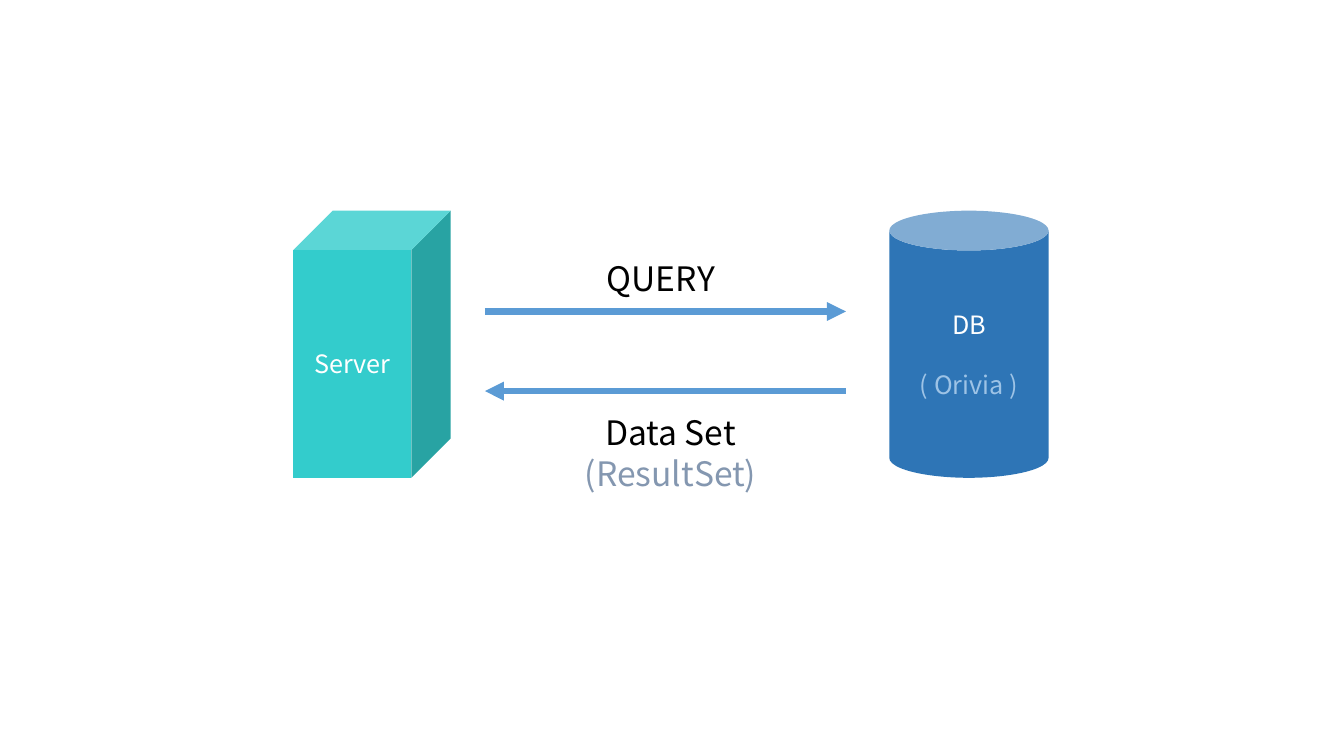
import dataclasses
import pptx
import pptx.dml.color
import pptx.enum.shapes
import pptx.enum.text
import pptx.oxml
import pptx.oxml.ns
import pptx.util

Inches = pptx.util.Inches
Pt = pptx.util.Pt
Align = pptx.enum.text.PP_ALIGN
Kind = pptx.enum.shapes.MSO_SHAPE


@dataclasses.dataclass(frozen=True)
class Theme:
    font: str = "Noto Sans CJK KR"
    small: float = 18
    large: float = 24
    gap: float = 21.5
    stroke: float = 4.5
    white: str = "FFFFFF"
    black: str = "000000"
    teal: str = "33CCCC"
    blue: str = "2E75B6"
    sky: str = "5B9BD5"
    pale: str = "9DC3E6"
    slate: str = "8497B0"


class Canvas:
    """Draws styled elements on the current slide."""

    def __init__(self, slide, theme):
        self.slide = slide
        self.theme = theme

    def tint(self, color):
        return pptx.dml.color.RGBColor.from_string(color)

    def run(self, para, text, size, color):
        run = para.add_run()
        run.text = text
        run.font.name = self.theme.font
        run.font.size = Pt(size)
        run.font.color.rgb = self.tint(color)

    def solid(self, kind, box, fill, lines):
        shape = self.slide.shapes.add_shape(kind, *map(Inches, box))
        shape.shadow.inherit = False
        shape.fill.solid()
        shape.fill.fore_color.rgb = self.tint(fill)
        shape.line.fill.background()
        frame = shape.text_frame
        frame.vertical_anchor = pptx.enum.text.MSO_ANCHOR.MIDDLE
        for index, (text, color) in enumerate(lines):
            para = frame.add_paragraph() if index else frame.paragraphs[0]
            para.alignment = Align.CENTER
            para.space_before = Pt(self.theme.gap if index else 0)
            self.run(para, text, self.theme.small, color)

    def label(self, box, lines, align):
        frame = self.slide.shapes.add_textbox(*map(Inches, box)).text_frame
        frame.word_wrap = False
        frame.auto_size = pptx.enum.text.MSO_AUTO_SIZE.SHAPE_TO_FIT_TEXT
        para = frame.paragraphs[0]
        para.alignment = align
        for index, (text, color) in enumerate(lines):
            if index:
                para.add_line_break()
            self.run(para, text, self.theme.large, color)

    def arrow(self, start, end, y):
        line = self.slide.shapes.add_connector(
            pptx.enum.shapes.MSO_CONNECTOR.STRAIGHT,
            Inches(start), Inches(y), Inches(end), Inches(y))
        line.line.color.rgb = self.tint(self.theme.sky)
        line.line.width = Pt(self.theme.stroke)
        tip = pptx.oxml.parse_xml(
            f'<a:tailEnd {pptx.oxml.ns.nsdecls("a")} type="triangle"/>')
        line.line._get_or_add_ln().append(tip)
        flat = pptx.oxml.parse_xml(f'<a:effectLst {pptx.oxml.ns.nsdecls("a")}/>')
        line._element.spPr.append(flat)


def main():
    deck = pptx.Presentation()
    deck.slide_width = Inches(13.33)
    deck.slide_height = Inches(7.5)
    theme = Theme()
    canvas = Canvas(deck.slides.add_slide(deck.slide_layouts[6]), theme)

    top, height = 2.09, 2.65
    left, right = 4.81, 8.39
    canvas.solid(Kind.CUBE, (2.91, top, 1.56, height), theme.teal,
                 [("Server", theme.white)])
    canvas.solid(Kind.CAN, (8.82, top, 1.58, height), theme.blue,
                 [("DB", theme.white), ("( Orivia )", theme.pale)])
    canvas.arrow(left, right, 3.09)
    canvas.label((5.92, 2.51, 1.28, 0.5), [("QUERY", theme.black)], Align.LEFT)
    canvas.arrow(right, left, 3.88)
    canvas.label((5.69, 4.04, 1.92, 0.91),
                 [("Data Set", theme.black), ("(ResultSet)", theme.slate)],
                 Align.CENTER)
    deck.save("out.pptx")


if __name__ == "__main__":
    main()
